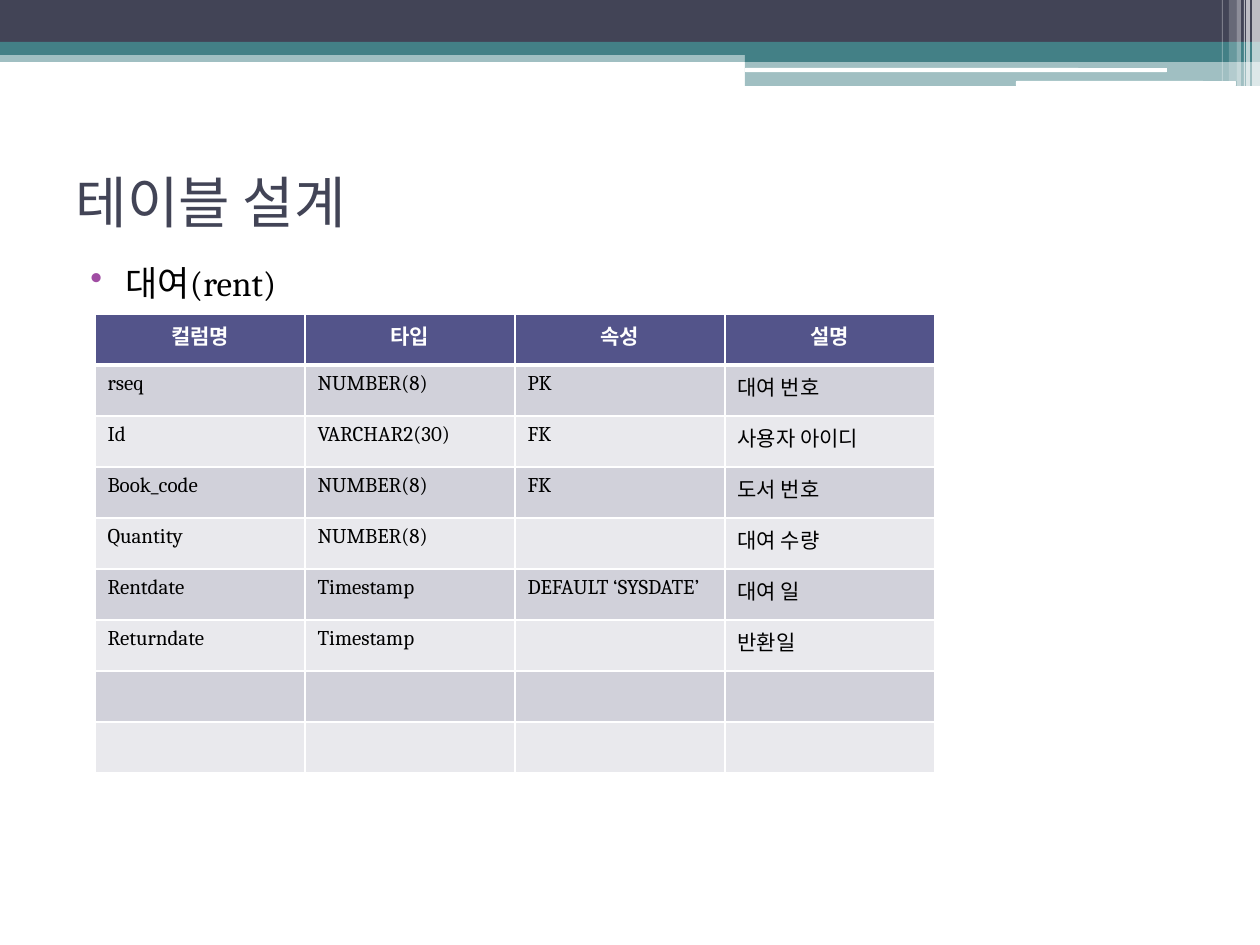
from typing import NamedTuple

from lxml import etree
from pptx import Presentation
from pptx import util as u
from pptx.dml import color
from pptx.enum import shapes, text
from pptx.oxml import ns

EMU_PER_INCH = 914400
PX_PER_INCH = 126
COLORS = {
    "navy": "424456",
    "teal": "438086",
    "white": "FFFFFF",
    "black": "000000",
    "purple": "A04DA3",
    "header": "53548A",
    "odd": "D1D1DA",
    "even": "E9E9ED",
}


class Bar(NamedTuple):
    left: int
    top: int
    width: int
    height: int
    fill: str
    opacity: int = 100
    rounded: bool = False


class Stripe(NamedTuple):
    left: int
    width: int
    height: int
    opacity: int


BARS = [
    Bar(0, 50, 1260, 12, "teal", 50),
    Bar(0, 0, 1260, 42, "navy"),
    Bar(0, 42, 1260, 13, "teal"),
    Bar(745, 49, 515, 13, "teal"),
    Bar(745, 61, 515, 25, "teal", 50),
    Bar(745, 68, 422, 4, "white", rounded=True),
    Bar(1016, 81, 220, 5, "white", rounded=True),
]
STRIPES = [
    Stripe(1252, 8, 86, 65),
    Stripe(1246, 4, 86, 65),
    Stripe(1244, 1, 86, 60),
    Stripe(1237, 4, 86, 40),
    Stripe(1229, 8, 81, 20),
    Stripe(1222, 1, 81, 30),
]
ROWS = [
    ("컬럼명", "타입", "속성", "설명"),
    ("rseq", "NUMBER(8)", "PK", "대여 번호"),
    ("Id", "VARCHAR2(30)", "FK", "사용자 아이디"),
    ("Book_code", "NUMBER(8)", "FK", "도서 번호"),
    ("Quantity", "NUMBER(8)", "", "대여 수량"),
    ("Rentdate", "Timestamp", "DEFAULT ‘SYSDATE’", "대여 일"),
    ("Returndate", "Timestamp", "", "반환일"),
    ("", "", "", ""),
    ("", "", "", ""),
]
COLUMN_WIDTH = 210
ROW_HEIGHT = 51


def px(value: int) -> u.Emu:
    return u.Emu(round(value * EMU_PER_INCH / PX_PER_INCH))


def rgb(name: str) -> color.RGBColor:
    return color.RGBColor.from_string(COLORS[name])


def add_child(parent, tag: str, **attributes: str):
    return etree.SubElement(parent, ns.qn(tag), attributes)


def write(para, content: str, ink: str, **formats) -> None:
    span = para.add_run()
    span.text = content
    for name, value in formats.items():
        setattr(span.font, name, value)
    span.font.color.rgb = rgb(ink)


def draw_bar(page, bar: Bar) -> None:
    kind = shapes.MSO_SHAPE.ROUNDED_RECTANGLE if bar.rounded else shapes.MSO_SHAPE.RECTANGLE
    box = page.shapes.add_shape(kind, *map(px, bar[:4]))
    box.shadow.inherit = False
    box.line.fill.background()
    box.fill.solid()
    box.fill.fore_color.rgb = rgb(bar.fill)
    if bar.opacity < 100:
        tint = box.fill._xPr.find(".//" + ns.qn("a:srgbClr"))
        add_child(tint, "a:alpha", val=str(bar.opacity * 1000))


def draw_title(page) -> None:
    box = page.shapes.title
    place = {"left": 63, "top": 158, "width": 1134, "height": 87}
    for name, value in place.items():
        setattr(box, name, px(value))
    box.text_frame.vertical_anchor = text.MSO_ANCHOR.MIDDLE
    para = box.text_frame.paragraphs[0]
    para.alignment = text.PP_ALIGN.LEFT
    write(para, "테이블 설계", "navy", size=u.Pt(32), name="Lato")


def draw_bullet(page) -> None:
    box = page.shapes.add_textbox(*map(px, (63, 255, 1134, 651)))
    box.text_frame.word_wrap = True
    para = box.text_frame.paragraphs[0]
    para.space_before = u.Pt(3)
    write(para, "대여(rent)", "black", size=u.Pt(20), name="Cambria")
    properties = para._p.get_or_add_pPr()
    properties.set("marL", str(px(50)))
    properties.set("indent", str(px(-35)))
    bullet_color = add_child(properties, "a:buClr")
    add_child(bullet_color, "a:srgbClr", val=COLORS["purple"])
    add_child(properties, "a:buChar", char="•")


def draw_borders(cell, widths: dict[str, int]) -> None:
    properties = cell._tc.get_or_add_tcPr()
    for index, (side, points) in enumerate(widths.items()):
        line = etree.Element(ns.qn(f"a:ln{side}"), w=str(u.Pt(points)))
        add_child(add_child(line, "a:solidFill"), "a:srgbClr", val=COLORS["white"])
        properties.insert(index, line)


def draw_table(page) -> None:
    columns = len(ROWS[0])
    frame = page.shapes.add_table(
        len(ROWS), columns, px(95), px(314),
        px(COLUMN_WIDTH * columns), px(ROW_HEIGHT * len(ROWS)),
    )
    table = frame.table
    for row_index, row in enumerate(ROWS):
        is_header = row_index == 0
        fill = "header" if is_header else ("even", "odd")[row_index % 2]
        widths = {
            "L": 1,
            "R": 1,
            "T": 3 if row_index == 1 else 1,
            "B": 3 if is_header else 1,
        }
        for column_index, content in enumerate(row):
            cell = table.cell(row_index, column_index)
            cell.fill.solid()
            cell.fill.fore_color.rgb = rgb(fill)
            draw_borders(cell, widths)
            if content:
                para = cell.text_frame.paragraphs[0]
                para.alignment = text.PP_ALIGN.CENTER if is_header else text.PP_ALIGN.LEFT
                write(para, content, "white" if is_header else "black",
                      size=u.Pt(12), name="Cambria", bold=is_header)


def main() -> None:
    deck = Presentation()
    deck.slide_width, deck.slide_height = px(1260), px(945)
    page = deck.slides.add_slide(deck.slide_layouts[5])
    for bar in BARS:
        draw_bar(page, bar)
    for stripe in STRIPES:
        draw_bar(page, Bar(stripe.left, 0, stripe.width, stripe.height, "white", stripe.opacity))
    draw_title(page)
    draw_bullet(page)
    draw_table(page)
    deck.save("out.pptx")


if __name__ == "__main__":
    main()
